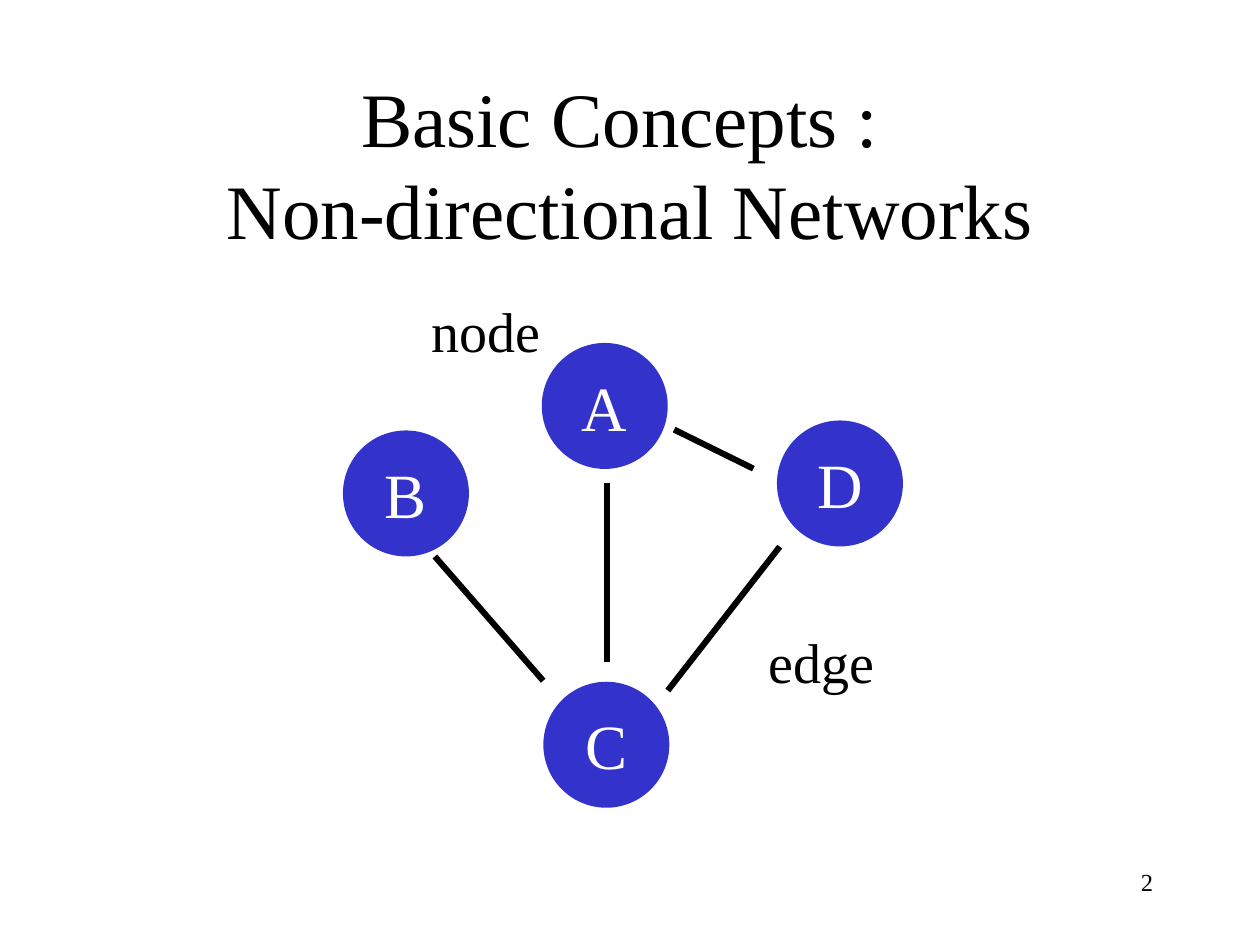
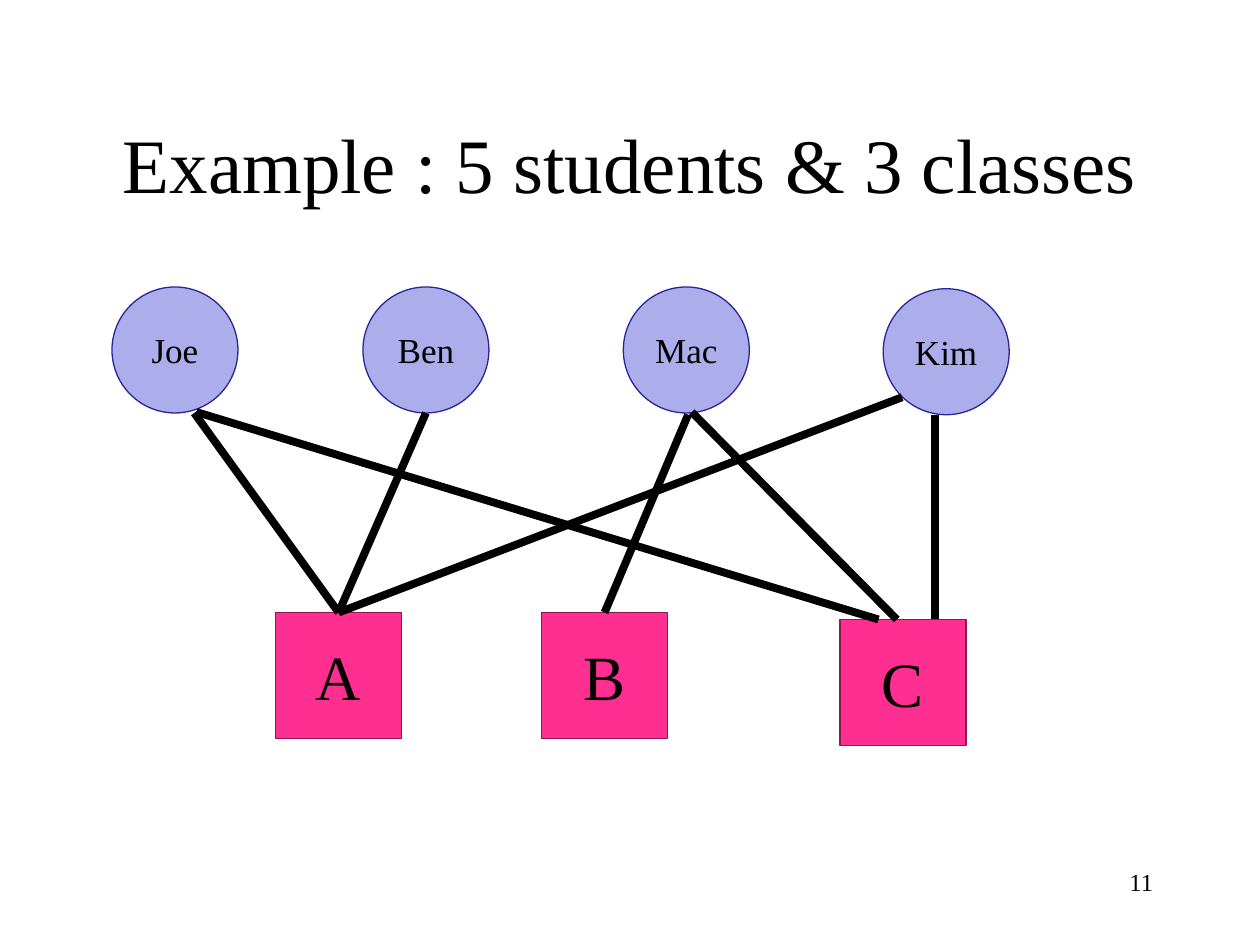
from lxml.etree import SubElement
from pptx import Presentation
from pptx.dml.color import RGBColor
from pptx.enum.shapes import MSO_CONNECTOR, MSO_SHAPE
from pptx.enum.text import MSO_ANCHOR, PP_ALIGN
from pptx.oxml.ns import qn
from pptx.util import Pt

BLACK = RGBColor(0x00, 0x00, 0x00)
WHITE = RGBColor(0xFF, 0xFF, 0xFF)
BLUE = RGBColor(0x33, 0x33, 0xCC)
LILAC = RGBColor(0xAD, 0xAD, 0xEB)
NAVY = RGBColor(0x26, 0x26, 0x99)
PINK = RGBColor(0xFF, 0x2F, 0x92)
PLUM = RGBColor(0x94, 0x16, 0x51)
SIDE = 72


class Deck:
    """Hold the shared style and the current slide."""

    def __init__(self):
        self.show = Presentation()
        self.show.slide_width, self.show.slide_height = Pt(720), Pt(540)
        self.face = {"name": "Times New Roman"}
        self.slide = None

    def page(self, title, number):
        self.slide = self.show.slides.add_slide(self.show.slide_layouts[6])
        self.text(title, (54, 48, 612, 90), 44, PP_ALIGN.CENTER, MSO_ANCHOR.MIDDLE)
        self.text(number, (516, 492, 150, 36), 14, PP_ALIGN.RIGHT, MSO_ANCHOR.TOP)

    def letter(self, shape, text, size, color, align, anchor):
        frame = shape.text_frame
        frame.word_wrap, frame.vertical_anchor = True, anchor
        para = frame.paragraphs[0]
        para.text, para.alignment = text, align
        for run in para.runs:
            for key, value in {**self.face, "size": Pt(size)}.items():
                setattr(run.font, key, value)
            run.font.color.rgb = color

    def text(self, text, area, size, align, anchor):
        box = self.slide.shapes.add_textbox(*map(Pt, area))
        self.letter(box, text, size, BLACK, align, anchor)

    def shape(self, kind, text, area, size, fill, ink=BLACK, edge=None):
        item = self.slide.shapes.add_shape(kind, *map(Pt, area))
        item.shadow.inherit = False
        item.fill.solid()
        item.fill.fore_color.rgb = fill
        if edge is None:
            item.line.fill.background()
        else:
            item.line.color.rgb, item.line.width = edge, Pt(0.75)
        self.letter(item, text, size, ink, PP_ALIGN.CENTER, MSO_ANCHOR.MIDDLE)
        return item

    def node(self, text, x, y, size, fill, ink=BLACK, edge=None):
        self.shape(MSO_SHAPE.OVAL, text, (x, y, SIDE, SIDE), size, fill, ink, edge)

    def box(self, text, x, y):
        area = (x, y, SIDE, SIDE)
        return self.shape(MSO_SHAPE.RECTANGLE, text, area, 36, PINK, edge=PLUM)

    def label(self, text, *area):
        self.shape(MSO_SHAPE.RECTANGLE, text, area, 32, WHITE)

    def line(self, start, end, width):
        link = self.slide.shapes.add_connector(
            MSO_CONNECTOR.STRAIGHT, *map(Pt, (*start, *end)))
        link.line.color.rgb, link.line.width = BLACK, Pt(width)
        SubElement(link._element.spPr, qn("a:effectLst"))
        return link

    def join(self, start, box, width):
        self.line(start, start, width).end_connect(box, 0)


def basics(deck):
    deck.page("Basic Concepts : \vNon-directional Networks", "2")
    for name, x, y in (("B", 196, 246), ("A", 309.6, 196),
                       ("D", 444, 240.3), ("C", 310.5, 389.6)):
        deck.node(name, x, y, 36, BLUE, WHITE)
    for start, end in (((347, 276), (347, 378)),
                       ((445.6, 312.4), (381.6, 394.6)),
                       ((248.5, 318), (310.4, 389)),
                       ((385.2, 245.5), (430.5, 267.8))):
        deck.line(start, end, 3.5)
    deck.label("node", 232, 175, 92, 27)
    deck.label("edge", 423.5, 355, 92, 46)


def classes(deck):
    deck.page("Example : 5 students & 3 classes", "11")
    for name, x, y in (("Joe", 64, 164), ("Ben", 207.4, 164),
                       ("Mac", 356.2, 164), ("Kim", 504.7, 165)):
        deck.node(name, x, y, 20, LILAC, edge=NAVY)
    first = deck.box("A", 157.5, 350)
    second = deck.box("B", 309.5, 350)
    deck.box("C", 480, 354)
    for start, box in (((111, 236), first), ((515.5, 227), first),
                       ((243.4, 236), first), ((393.2, 237), second)):
        deck.join(start, box, 4.5)
    for start, x in (((112.3, 235.5), 502), ((395.3, 235.5), 512.5),
                     ((534.2, 237), 534.2)):
        deck.line(start, (x, 354), 4.5)


def main():
    deck = Deck()
    basics(deck)
    classes(deck)
    deck.show.save("out.pptx")


if __name__ == "__main__":
    main()
